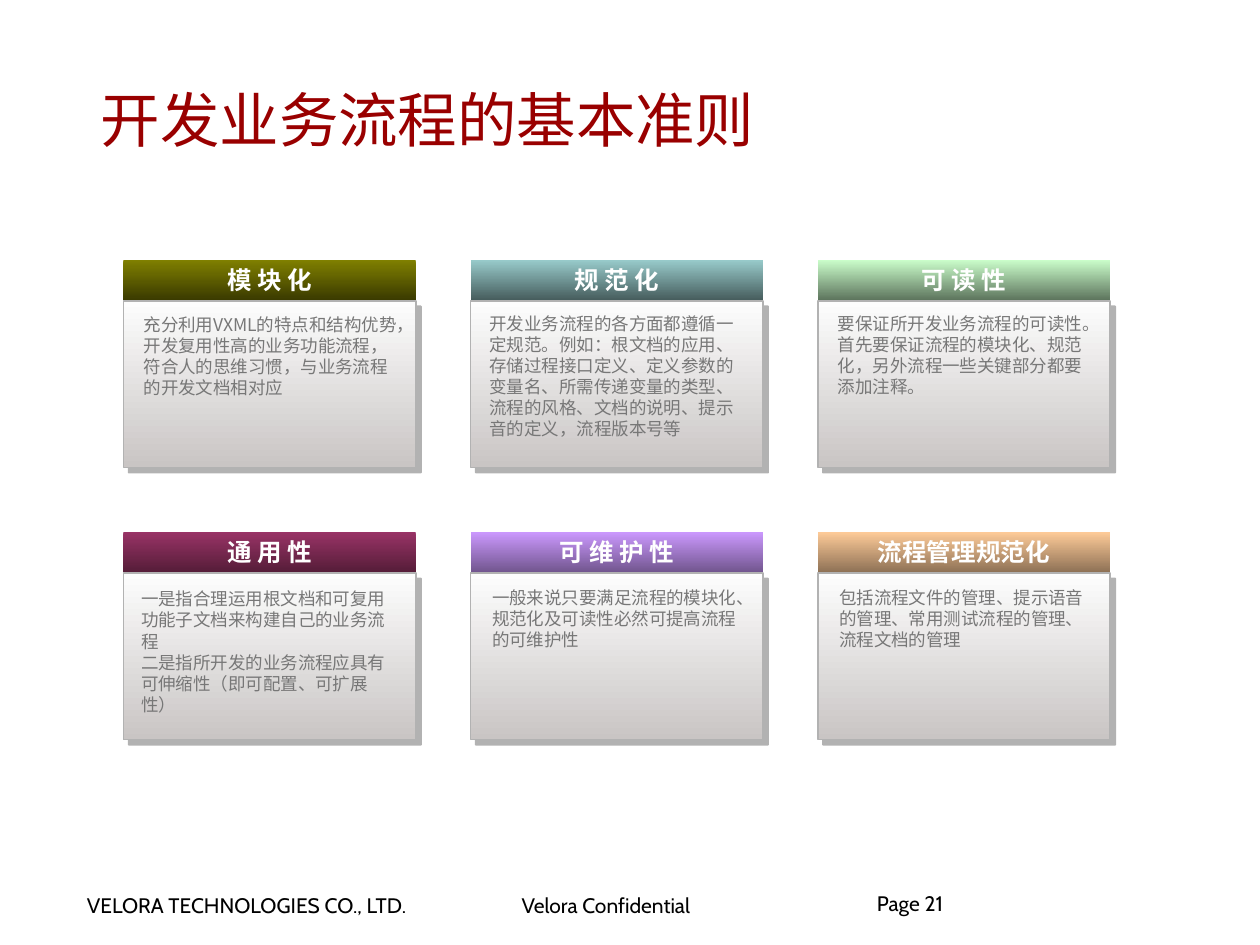
from lxml.etree import SubElement
from pptx import Presentation
from pptx.dml.color import RGBColor
from pptx.enum.shapes import MSO_SHAPE
from pptx.enum.text import MSO_ANCHOR, PP_ALIGN
from pptx.oxml.ns import qn
from pptx.util import Inches, Pt

LATIN, CJK = "Cabin", "Noto Sans CJK SC"
CARD_W, HEADER_H, BODY_H, BODY_DY = 2.32, 0.32, 1.32, 0.33
LEFT, TOP, STEP_X, STEP_Y = 0.98, 2.06, 2.755, 2.16

# Header, top colour, bottom colour, text font, text offset in the body, paragraphs
CARDS = [
    ("模 块 化", "808000", "3B3B00", CJK, (0.07, 0.06),
     ["充分利用VXML的特点和结构优势，开发复用性高的业务功能流程，符合人的思维习惯，与业务流程的开发文档相对应"]),
    ("规 范 化", "99CCCC", "475E5E", CJK, (0.06, 0.05),
     ["开发业务流程的各方面都遵循一定规范。例如：根文档的应用、存储过程接口定义、定义参数的变量名、"
      "所需传递变量的类型、流程的风格、文档的说明、提示音的定义，流程版本号等"]),
    ("可 读 性", "CCFFCC", "5E765E", CJK, (0.07, 0.05),
     ["要保证所开发业务流程的可读性。首先要保证流程的模块化、规范化，另外流程一些关键部分都要添加注释。"]),
    ("通 用 性", "993366", "561D39", CJK, (0.05, 0.08),
     ["一是指合理运用根文档和可复用功能子文档来构建自己的业务流程",
      "二是指所开发的业务流程应具有可伸缩性（即可配置、可扩展性）"]),
    ("可 维 护 性", "CC99FF", "72568F", LATIN, (0.08, 0.07),
     ["一般来说只要满足流程的模块化、规范化及可读性必然可提高流程的可维护性"]),
    ("流程管理规范化", "FFCC99", "8F7256", LATIN, (0.08, 0.07),
     ["包括流程文件的管理、提示语音的管理、常用测试流程的管理、流程文档的管理"]),
]


def rgb(value):
    return RGBColor.from_string(value)


def write(tf, *lines, size, color, font=LATIN, bold=False, align=PP_ALIGN.LEFT,
          anchor=MSO_ANCHOR.TOP, wrap=True, margins=(0.09, 0.04), spacing=None):
    tf.word_wrap = wrap
    tf.vertical_anchor = anchor
    tf.margin_left = tf.margin_right = Inches(margins[0])
    tf.margin_top = tf.margin_bottom = Inches(margins[1])
    for i, line in enumerate(lines):
        p = tf.paragraphs[0] if i == 0 else tf.add_paragraph()
        p.alignment = align
        if spacing:
            p.line_spacing = spacing
        r = p.add_run()
        r.text = line
        r.font.size, r.font.name, r.font.bold = Pt(size), font, bold
        r.font.color.rgb = rgb(color)
        SubElement(r.font._element, qn("a:ea"), typeface=CJK)


def text_box(s, x, y, w, h, *lines, **fmt):
    sp = s.shapes.add_textbox(Inches(x), Inches(y), Inches(w), Inches(h))
    write(sp.text_frame, *lines, **fmt)


def gradient_rect(shapes, x, y, w, h, top, bottom):
    sp = shapes.add_shape(MSO_SHAPE.RECTANGLE, Inches(x), Inches(y), Inches(w), Inches(h))
    sp.fill.gradient()
    sp.fill.gradient_angle = 270
    for stop, color in zip(sp.fill.gradient_stops, (top, bottom)):
        stop.color.rgb = rgb(color)
    sp.line.fill.background()
    sp.shadow.inherit = False
    return sp


def add_shadow(sp):
    effects = sp._element.spPr.find(qn("a:effectLst"))
    shadow = SubElement(effects, qn("a:outerShdw"), dist=str(Pt(4.2)),
                        dir="2700000", algn="ctr", rotWithShape="0")
    color = SubElement(shadow, qn("a:srgbClr"), val="000000")
    SubElement(color, qn("a:alpha"), val="30000")


def add_title(s, x, y, w, h):
    sp = s.shapes.title
    sp.left, sp.top, sp.width, sp.height = Inches(x), Inches(y), Inches(w), Inches(h)
    write(sp.text_frame, "开发业务流程的基本准则", size=34, color="990000",
          anchor=MSO_ANCHOR.MIDDLE)


def add_card(s, x, y, header, top, bottom):
    group = s.shapes.add_group_shape()
    # Body panel
    body = gradient_rect(group.shapes, x, y + BODY_DY, CARD_W, BODY_H, "FDFDFD", "C9C5C4")
    body.line.color.rgb = rgb("B2B2B2")
    body.line.width = Pt(1)
    add_shadow(body)
    # Header bar
    bar = gradient_rect(group.shapes, x, y, CARD_W, HEADER_H, top, bottom)
    write(bar.text_frame, header, size=14, color="FFFFFF", bold=True, wrap=False,
          align=PP_ALIGN.CENTER, anchor=MSO_ANCHOR.MIDDLE, margins=(0.1, 0.05))


def add_cards(s, left, top):
    for i, (header, light, dark, font, (dx, dy), lines) in enumerate(CARDS):
        row, col = divmod(i, 3)
        x, y = left + col * STEP_X, top + row * STEP_Y
        add_card(s, x, y, header, light, dark)
        text_box(s, x + dx, y + BODY_DY + dy, 2.21, 0.25 + 0.17 * len(lines), *lines,
                 size=10, color="777777", font=font)


def add_footer(s, y):
    fmt = {"size": 12, "color": "000000"}
    text_box(s, 0.6, y, 3.09, 0.29, "VELORA TECHNOLOGIES CO., LTD.", wrap=False, **fmt)
    text_box(s, 4.05, y, 2.18, 0.29, "Velora Confidential", wrap=False, **fmt)
    text_box(s, 6.96, y + 0.06, 2.29, 0.5, "Page 21", margins=(0, 0), spacing=0.85, **fmt)


def main():
    prs = Presentation()
    prs.slide_width, prs.slide_height = Inches(10), Inches(7.5)
    s = prs.slides.add_slide(prs.slide_layouts[5])
    add_footer(s, 7.04)
    add_title(s, 0.71, 0.47, 8.47, 0.95)
    add_cards(s, LEFT, TOP)
    prs.save("out.pptx")


if __name__ == "__main__":
    main()
